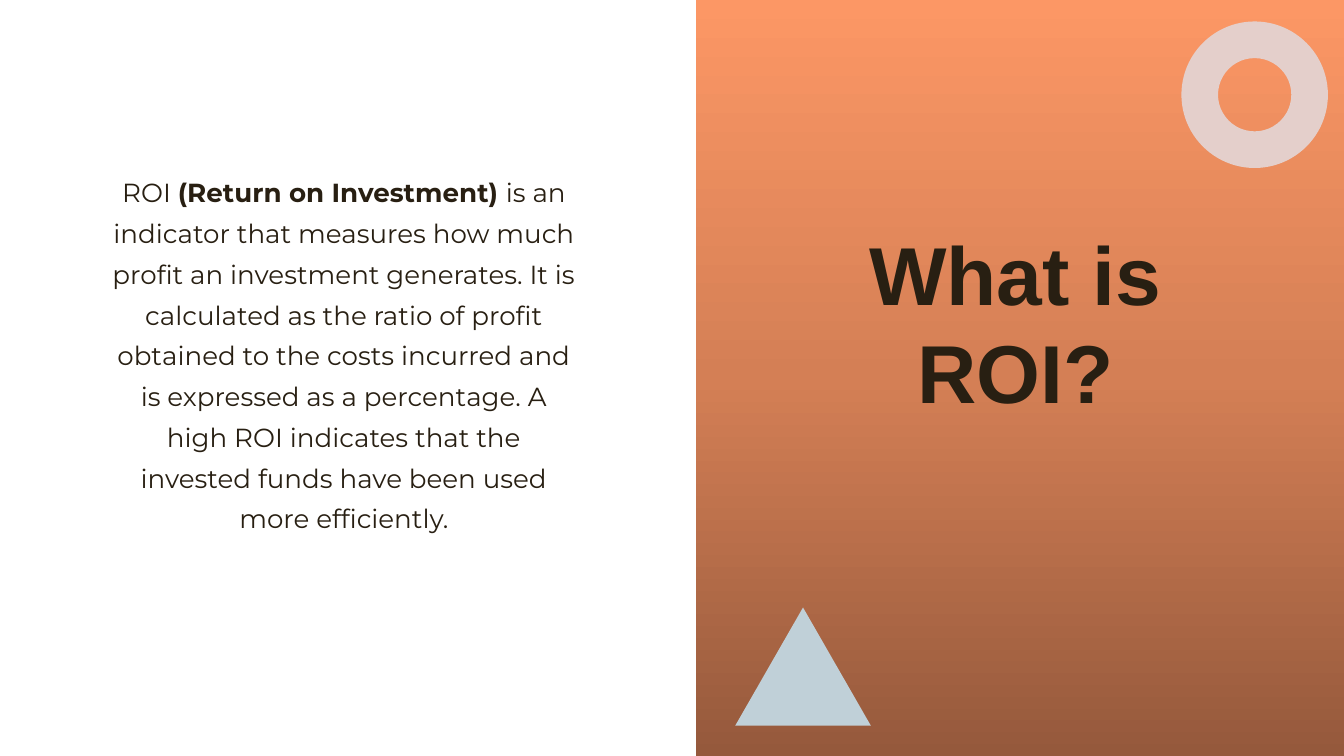
from dataclasses import dataclass
from pptx import Presentation
from pptx.dml.color import RGBColor
from pptx.enum.shapes import MSO_SHAPE
from pptx.enum.text import MSO_ANCHOR, MSO_AUTO_SIZE, PP_ALIGN
from pptx.oxml import parse_xml
from pptx.oxml.ns import nsdecls
from pptx.util import Inches, Pt

RECT = MSO_SHAPE.RECTANGLE
DONUT = MSO_SHAPE.DONUT
TRIANGLE = MSO_SHAPE.ISOSCELES_TRIANGLE
MIDDLE = MSO_ANCHOR.MIDDLE
CENTER = PP_ALIGN.CENTER
NO_FIT = MSO_AUTO_SIZE.NONE

WIDE = 10
HIGH = WIDE * 9 / 16
SPLIT = 5.18


@dataclass(frozen=True)
class Theme:
    back: str = "C38A67"
    page: str = "FFFFFF"
    ink: str = "281F12"
    ring: str = "E4CFCB"
    peak: str = "C0D0D8"
    fade: tuple = ((0, "95593C"), (50, "D47F55"), (100, "FC9765"))
    head: str = "Arial"
    body: str = "Montserrat"
    big: int = 44
    small: int = 14


THEME = Theme()


def paint(fill, color):
    fill.solid()
    fill.fore_color.rgb = RGBColor.from_string(color)


def add_shape(slide, kind, box, color=None):
    shape = slide.shapes.add_shape(kind, *map(Inches, box))
    shape.shadow.inherit = False
    shape.line.fill.background()
    if color:
        paint(shape.fill, color)
    return shape


def add_fade(shape, stops, angle):
    marks = "".join(
        f'<a:gs pos="{pos * 1000}"><a:srgbClr val="{color}"/></a:gs>'
        for pos, color in stops)
    grad = parse_xml(
        f'<a:gradFill {nsdecls("a")}><a:gsLst>{marks}</a:gsLst>'
        f'<a:lin ang="{angle * 60000}" scaled="0"/></a:gradFill>')
    shape.element.spPr.find(".//{*}prstGeom").addnext(grad)


def set_text(shape, parts, font, size, side=0.1, gap=1.0):
    frame = shape.text_frame
    frame.word_wrap = True
    frame.auto_size = NO_FIT
    frame.vertical_anchor = MIDDLE
    frame.margin_left = frame.margin_right = Inches(side)
    frame.margin_top = frame.margin_bottom = Inches(0.1)
    para = frame.paragraphs[0]
    para.alignment = CENTER
    para.line_spacing = gap
    for text, bold in parts:
        run = para.add_run()
        run.text = text
        run.font.name = font
        run.font.size = Pt(size)
        run.font.bold = bold
        run.font.color.rgb = RGBColor.from_string(THEME.ink)


def add_body(slide, box, parts):
    shape = slide.shapes.add_textbox(*map(Inches, box))
    set_text(shape, parts, THEME.body, THEME.small, side=0.2, gap=1.3)


def add_title(slide, box, text):
    title = slide.shapes.title
    title.left, title.top, title.width, title.height = map(Inches, box)
    set_text(title, [(text, True)], THEME.head, THEME.big)
    title.element.getparent().append(title.element)


def main():
    deck = Presentation()
    deck.slide_width, deck.slide_height = Inches(WIDE), Inches(HIGH)
    slide = deck.slides.add_slide(deck.slide_layouts[5])
    paint(slide.background.fill, THEME.back)

    add_shape(slide, RECT, (0, 0, WIDE, HIGH), THEME.page)
    add_body(slide, (0.61, 1.25, 3.9, 2.72), [
        ("ROI ", False),
        ("(Return on Investment) ", True),
        ("is an indicator that measures how much profit an investment "
         "generates. It is calculated as the ratio of profit obtained to "
         "the costs incurred and is expressed as a percentage. A high ROI "
         "indicates that the invested funds have been used more "
         "efficiently.", False),
    ])
    panel = add_shape(slide, RECT, (SPLIT, 0, WIDE - SPLIT, HIGH))
    add_fade(panel, THEME.fade, 270)
    add_title(slide, (5.78, 1.54, 3.55, 1.71), "What is ROI?")
    add_shape(slide, DONUT, (8.79, 0.16, 1.09, 1.09), THEME.ring)
    add_shape(slide, TRIANGLE, (5.47, 4.52, 1.01, 0.88), THEME.peak)
    deck.save("out.pptx")


if __name__ == "__main__":
    main()
